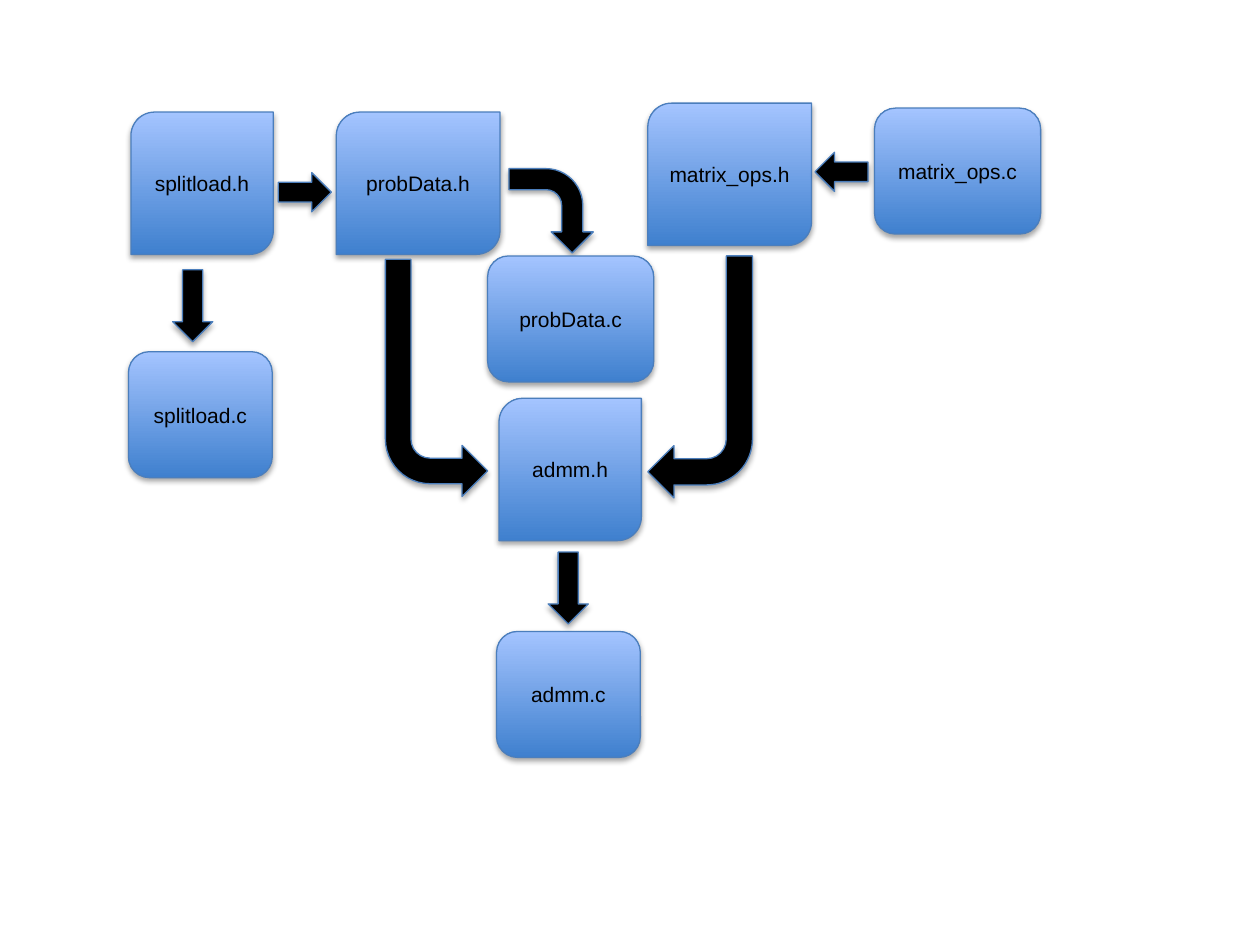
from dataclasses import dataclass

from lxml.etree import SubElement
from pptx import Presentation
from pptx.dml.color import RGBColor
from pptx.enum.shapes import MSO_SHAPE
from pptx.enum.text import MSO_ANCHOR, PP_ALIGN
from pptx.oxml.ns import qn
from pptx.util import Cm, Pt


@dataclass(frozen=True)
class Theme:
    font: str = "Arial"
    text_size: float = 12
    line_width: float = 0.75
    black: RGBColor = RGBColor.from_string("000000")
    outline: RGBColor = RGBColor.from_string("4B7EBC")
    gradient: tuple = (
        RGBColor.from_string("3F80CE"),
        RGBColor.from_string("A4C4FF"),
    )
    shadow_blur: float = 3.15
    shadow_distance: float = 1.8
    shadow_alpha: int = 35


@dataclass(frozen=True)
class Box:
    left: float
    top: float
    width: float
    height: float

    def inside(self, parent):
        return Box(parent.left + self.left, parent.top + self.top, self.width, self.height)


THEME = Theme()
HEADER_HEIGHT = 2.87
SOURCE_HEIGHT = 2.54


def add_shadow(shape):
    shape.shadow.inherit = False
    effects = shape._element.spPr.find(qn("a:effectLst"))
    shadow = SubElement(
        effects,
        qn("a:outerShdw"),
        blurRad=str(Pt(THEME.shadow_blur)),
        dist=str(Pt(THEME.shadow_distance)),
        dir="5400000",
        rotWithShape="0",
    )
    color = SubElement(shadow, qn("a:srgbClr"), val=str(THEME.black))
    SubElement(color, qn("a:alpha"), val=str(THEME.shadow_alpha * 1000))


def add_outlined_shape(slide, kind, box):
    shape = slide.shapes.add_shape(
        kind, Cm(box.left), Cm(box.top), Cm(box.width), Cm(box.height)
    )
    shape.line.color.rgb = THEME.outline
    shape.line.width = Pt(THEME.line_width)
    add_shadow(shape)
    return shape


def add_file(slide, kind, box, name):
    shape = add_outlined_shape(slide, kind, box)
    shape.fill.gradient()
    shape.fill.gradient_angle = 90
    for stop, color in zip(shape.fill.gradient_stops, THEME.gradient):
        stop.color.rgb = color
    shape.text_frame.vertical_anchor = MSO_ANCHOR.MIDDLE
    paragraph = shape.text_frame.paragraphs[0]
    paragraph.text = name
    paragraph.alignment = PP_ALIGN.CENTER
    paragraph.font.name = THEME.font
    paragraph.font.size = Pt(THEME.text_size)
    paragraph.font.color.rgb = THEME.black


def add_arrow(slide, kind, box, rotation=0, flips=()):
    shape = add_outlined_shape(slide, kind, box)
    shape.fill.solid()
    shape.fill.fore_color.rgb = THEME.black
    shape.rotation = rotation
    for flip in flips:
        shape._element.spPr.xfrm.set(flip, "1")


def add_module(slide, name, header, source, arrow_kind, arrow, rotation=0):
    add_file(slide, MSO_SHAPE.ROUND_2_DIAG_RECTANGLE, header, f"{name}.h")
    add_arrow(slide, arrow_kind, arrow.inside(header), rotation)
    add_file(slide, MSO_SHAPE.ROUNDED_RECTANGLE, source.inside(header), f"{name}.c")


def add_includes(slide, area):
    add_arrow(slide, MSO_SHAPE.RIGHT_ARROW, Box(2.97, 1.4, 1.07, 0.79).inside(area))
    add_arrow(
        slide, MSO_SHAPE.BENT_ARROW, Box(5.13, 3.15, 2.06, 4.78).inside(area),
        flips=("flipV",),
    )
    add_arrow(
        slide, MSO_SHAPE.BENT_ARROW, Box(10.42, 3.08, 2.11, 4.88).inside(area),
        flips=("flipH", "flipV"),
    )


def build_dependency_slide(presentation):
    slide = presentation.slides.add_slide(presentation.slide_layouts[6])
    add_module(
        slide, "splitload",
        Box(2.64, 2.26, 2.87, HEADER_HEIGHT),
        Box(-0.05, 4.83, 2.9, SOURCE_HEIGHT),
        MSO_SHAPE.DOWN_ARROW, Box(0.84, 3.18, 0.81, 1.45),
    )
    add_module(
        slide, "probData",
        Box(6.78, 2.26, 3.3, HEADER_HEIGHT),
        Box(3.05, 2.9, 3.35, SOURCE_HEIGHT),
        MSO_SHAPE.BENT_ARROW, Box(3.48, 1.14, 1.7, 1.7), rotation=90,
    )
    add_module(
        slide, "matrix_ops",
        Box(13.06, 2.08, 3.3, HEADER_HEIGHT),
        Box(4.57, 0.1, 3.35, SOURCE_HEIGHT),
        MSO_SHAPE.LEFT_ARROW, Box(3.37, 0.99, 1.07, 0.79),
    )
    add_module(
        slide, "admm",
        Box(10.06, 8.03, 2.87, HEADER_HEIGHT),
        Box(-0.05, 4.7, 2.9, SOURCE_HEIGHT),
        MSO_SHAPE.DOWN_ARROW, Box(0.99, 3.1, 0.81, 1.45),
    )
    add_includes(slide, Box(2.64, 2.08, 18.34, 13.19))


presentation = Presentation()
presentation.slide_width = Cm(25.4)
presentation.slide_height = Cm(19.05)
build_dependency_slide(presentation)
presentation.save("out.pptx")
